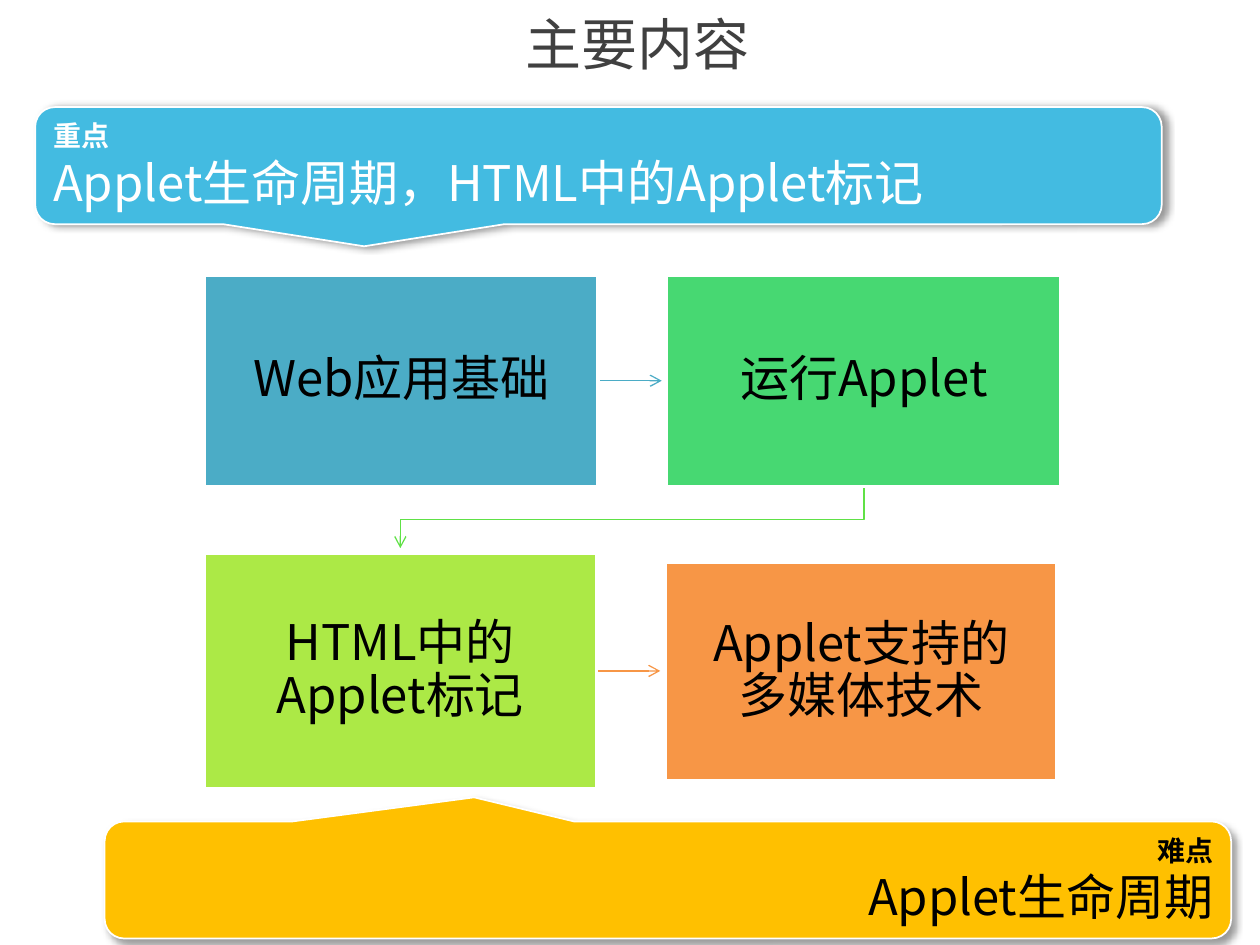
from lxml import etree
from pptx import Presentation
from pptx.dml.color import RGBColor
from pptx.enum.shapes import MSO_CONNECTOR, MSO_SHAPE
from pptx.enum.text import MSO_ANCHOR, MSO_AUTO_SIZE, PP_ALIGN
from pptx.oxml.ns import qn
from pptx.util import Cm, Pt

STRAIGHT = MSO_CONNECTOR.STRAIGHT
RECTANGLE = MSO_SHAPE.RECTANGLE
CALLOUT = MSO_SHAPE.ROUNDED_RECTANGULAR_CALLOUT
TOP, MIDDLE = MSO_ANCHOR.TOP, MSO_ANCHOR.MIDDLE
LEFT, CENTER, RIGHT = PP_ALIGN.LEFT, PP_ALIGN.CENTER, PP_ALIGN.RIGHT
NO_FIT = MSO_AUTO_SIZE.NONE

FONT = "Noto Sans CJK SC"
COLORS = {
    "title": "404040", "black": "000000", "white": "FFFFFF",
    "web": "4BACC6", "run": "47D872", "html": "ACE946", "media": "F79646",
    "turn": "60E146", "key": "43BBE1", "hard": "FFC000",
}

TITLE = "主要内容"
TOPICS = [
    ("Web应用基础", "web", 4.11, 5.54, 7.95, 4.27),
    ("运行Applet", "run", 13.44, 5.54, 7.95, 4.27),
    ("HTML中的Applet标记", "html", 4.11, 11.15, 7.92, 4.75),
    ("Applet支持的多媒体技术", "media", 13.41, 11.33, 7.9, 4.42),
]
CALLOUTS = [
    ("重点", "Applet生命周期，HTML中的Applet标记", "key", "white", LEFT,
     0.71, 2.16, (-0.208, 0.689, 0.167), 0),
    ("难点", "Applet生命周期", "hard", "black", RIGHT,
     2.11, 16.56, (-0.172, -0.706, 0.167), 45),
]
CALLOUT_WIDTH, CALLOUT_HEIGHT = 22.71, 2.36
ARROW_GAP = 0.1


def rgb(color):
    return RGBColor.from_string(COLORS[color])


def add_text(paragraph, text, size=28, color="black", bold=False, align=CENTER, spacing=None):
    paragraph.alignment = align
    paragraph.line_spacing = spacing
    run = paragraph.add_run()
    run.text = text
    run.font.size = Pt(size)
    run.font.bold = bold
    run.font.color.rgb = rgb(color)
    run.font.name = FONT
    latin = run.font._element.find(qn("a:latin"))
    east_asian = etree.Element(qn("a:ea"), typeface=FONT)
    latin.addnext(east_asian)
    return run


def make_shadow(angle):
    effects = etree.Element(qn("a:effectLst"))
    shadow = etree.SubElement(
        effects, qn("a:outerShdw"), blurRad=str(Pt(4)), dist=str(Pt(3)),
        dir=str(angle * 60000), algn="tl", rotWithShape="0")
    black = etree.SubElement(shadow, qn("a:srgbClr"), val=COLORS["black"])
    etree.SubElement(black, qn("a:alpha"), val="40000")
    return effects


def add_block(slide, kind, bounds, fill, line_width, anchor, inset):
    block = slide.shapes.add_shape(kind, *map(Cm, bounds))
    block.shadow.inherit = False
    block.fill.solid()
    block.fill.fore_color.rgb = rgb(fill)
    block.line.color.rgb = rgb("white")
    block.line.width = Pt(line_width)
    frame = block.text_frame
    frame.word_wrap = True
    frame.auto_size = NO_FIT
    frame.vertical_anchor = anchor
    if inset:
        frame.margin_left = frame.margin_right = Cm(inset)
        frame.margin_top = frame.margin_bottom = Cm(inset)
    return block


def style_arrow(arrow, color):
    arrow.line.color.rgb = rgb(color)
    arrow.line.width = Pt(0.75)
    etree.SubElement(arrow.line._get_or_add_ln(), qn("a:tailEnd"), type="arrow")


def add_link(slide, start, end, color):
    _, _, left, top, width, height = start
    middle = Cm(top + height / 2)
    link = slide.shapes.add_connector(
        STRAIGHT, Cm(left + width), middle, Cm(end[2] - ARROW_GAP), middle)
    style_arrow(link, color)
    etree.SubElement(link._element.spPr, qn("a:effectLst"))


def add_turn(slide, start, end, color):
    start_x, start_y = start[2] + start[4] / 2, start[3] + start[5]
    end_x, end_y = end[2] + end[4] / 2, end[3] - ARROW_GAP
    bend_y = (start_y + end[3]) / 2
    builder = slide.shapes.build_freeform(Cm(start_x), Cm(start_y))
    corners = [(start_x, bend_y), (end_x, bend_y), (end_x, end_y)]
    builder.add_line_segments([(Cm(x), Cm(y)) for x, y in corners], close=False)
    turn = builder.convert_to_shape()
    turn.shadow.inherit = False
    turn.fill.background()
    style_arrow(turn, color)


def main():
    deck = Presentation()
    deck.slide_width, deck.slide_height = Cm(25.4), Cm(19.05)
    slide = deck.slides.add_slide(deck.slide_layouts[5])

    title = slide.shapes.title
    title.left, title.top, title.width, title.height = map(Cm, (1.83, 0, 22.05, 1.73))
    title.text_frame.vertical_anchor = MIDDLE
    heading = add_text(title.text_frame.paragraphs[0], TITLE, size=32, color="title")
    heading.font._element.find(qn("a:solidFill")).addnext(make_shadow(45))

    web, run, html, media = TOPICS
    add_link(slide, web, run, "web")
    add_turn(slide, run, html, "turn")
    add_link(slide, html, media, "media")

    for label, fill, *bounds in TOPICS:
        topic = add_block(slide, RECTANGLE, bounds, fill, 2, MIDDLE, 0.56)
        add_text(topic.text_frame.paragraphs[0], label, spacing=0.9)

    for label, detail, fill, color, align, left, top, pointer, angle in CALLOUTS:
        bounds = (left, top, CALLOUT_WIDTH, CALLOUT_HEIGHT)
        callout = add_block(slide, CALLOUT, bounds, fill, 1, TOP, None)
        for index, value in enumerate(pointer):
            callout.adjustments[index] = value
        callout._element.spPr.find(qn("a:effectLst")).extend(make_shadow(angle))
        frame = callout.text_frame
        add_text(frame.paragraphs[0], label, size=16, color=color, bold=True, align=align)
        add_text(frame.add_paragraph(), detail, color=color, align=align)

    deck.save("out.pptx")


if __name__ == "__main__":
    main()
